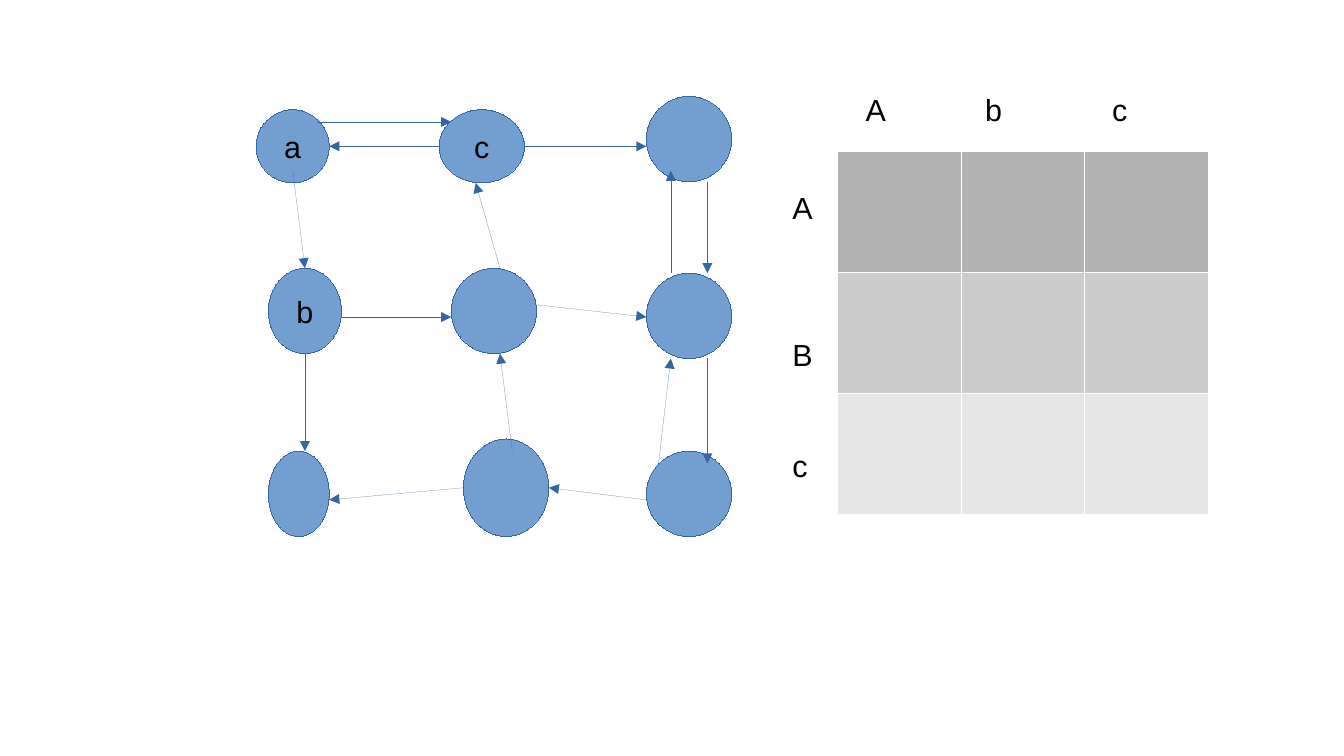
from dataclasses import dataclass

from lxml import etree
from pptx import Presentation
from pptx.dml.color import RGBColor
from pptx.enum.shapes import MSO_CONNECTOR, MSO_SHAPE
from pptx.enum.text import MSO_ANCHOR, MSO_AUTO_SIZE, PP_ALIGN
from pptx.oxml.ns import qn
from pptx.util import Inches, Pt

OVAL = MSO_SHAPE.OVAL
STRAIGHT = MSO_CONNECTOR.STRAIGHT
MIDDLE = MSO_ANCHOR.MIDDLE
CENTER = PP_ALIGN.CENTER
FIT_SHAPE = MSO_AUTO_SIZE.SHAPE_TO_FIT_TEXT


@dataclass(frozen=True)
class Theme:
    node: str = "729FCF"
    edge: str = "3465A4"
    ink: str = "000000"
    border: str = "FFFFFF"
    rows: tuple = ("B3B3B3", "CCCCCC", "E6E6E6")
    font: str = "Arial"
    size: int = 18
    border_width: float = 0.06


THEME = Theme()

# Nodes: label, left, top, width, height, from the graph's corner
NODES = [
    ("a", 0.1, 0.4, 0.6, 0.6), ("c", 1.6, 0.4, 0.7, 0.6), ("", 3.3, 0.29, 0.7, 0.7),
    ("b", 0.2, 1.7, 0.6, 0.7), ("", 1.7, 1.7, 0.7, 0.7), ("", 3.3, 1.74, 0.7, 0.7),
    ("", 0.2, 3.2, 0.5, 0.7), ("", 1.8, 3.1, 0.7, 0.8), ("", 3.3, 3.2, 0.7, 0.7),
]

# Arrows: start x, start y, end x, end y, from the graph's corner
ARROWS = [
    # Top row
    (0.6, 0.5, 1.7, 0.5), (1.6, 0.7, 0.7, 0.7), (2.3, 0.7, 3.3, 0.7),
    # Middle row
    (0.8, 2.1, 1.7, 2.1), (2.4, 2.0, 3.3, 2.1),
    # Bottom row
    (3.3, 3.6, 2.5, 3.5), (1.8, 3.5, 0.7, 3.6),
    # Left column
    (0.4, 0.9, 0.5, 1.7), (0.5, 2.4, 0.5, 3.2),
    # Middle column
    (2.2, 3.2, 2.1, 2.4), (2.1, 1.7, 1.9, 1.0),
    # Right column
    (3.5, 1.74, 3.5, 0.9), (3.8, 0.99, 3.8, 1.74),
    (3.4, 3.3, 3.5, 2.44), (3.8, 2.44, 3.8, 3.3),
]

# Row labels with the space before each, in points
ROW_LABELS = [("A", 0), ("B", 65.5), ("c", 44)]
COLUMN_LABELS = ["A", "b", "c"]
COLUMN_TABS = [0.98, 2.02]


def rgb(value):
    return RGBColor.from_string(value)


def drop_style(item):
    """Remove the preset style, and with it the shadow and line width."""
    style = item._element.find(qn("p:style"))
    item._element.remove(style)


def write(para, text, **formats):
    for name, value in formats.items():
        setattr(para, name, value)
    span = para.add_run()
    span.text = text
    for name, value in {"name": THEME.font, "size": Pt(THEME.size)}.items():
        setattr(span.font, name, value)
    span.font.color.rgb = rgb(THEME.ink)


def add_label_box(page, left, top, width, height):
    box = page.shapes.add_textbox(*map(Inches, (left, top, width, height)))
    frame = box.text_frame
    for name, value in {"word_wrap": True, "auto_size": FIT_SHAPE}.items():
        setattr(frame, name, value)
    return frame


def add_graph(page, left, top):
    # Nodes
    for label, x, y, width, height in NODES:
        node = page.shapes.add_shape(
            OVAL, Inches(left + x), Inches(top + y), Inches(width), Inches(height))
        drop_style(node)
        node.fill.solid()
        node.fill.fore_color.rgb = rgb(THEME.node)
        node.line.color.rgb = rgb(THEME.edge)
        if label:
            frame = node.text_frame
            for name, value in {"word_wrap": False, "vertical_anchor": MIDDLE}.items():
                setattr(frame, name, value)
            write(frame.paragraphs[0], label, alignment=CENTER)

    # Arrows
    for x1, y1, x2, y2 in ARROWS:
        arrow = page.shapes.add_connector(
            STRAIGHT, Inches(left + x1), Inches(top + y1), Inches(left + x2), Inches(top + y2))
        drop_style(arrow)
        arrow.line.color.rgb = rgb(THEME.edge)
        etree.SubElement(arrow.line._get_or_add_ln(), qn("a:tailEnd"), type="triangle")


def add_borders(cell):
    props = cell._tc.get_or_add_tcPr()
    for index, side in enumerate(("lnL", "lnR", "lnT", "lnB")):
        line = etree.Element(qn(f"a:{side}"), w=str(Pt(THEME.border_width)))
        fill = etree.SubElement(line, qn("a:solidFill"))
        etree.SubElement(fill, qn("a:srgbClr"), val=THEME.border)
        props.insert(index, line)


def add_matrix(page, left, top, width, height):
    # Shaded grid
    count = len(THEME.rows)
    grid = page.shapes.add_table(
        count, count, *map(Inches, (left, top, width, height))).table
    for row, color in zip(grid.rows, THEME.rows):
        for cell in row.cells:
            cell.fill.solid()
            cell.fill.fore_color.rgb = rgb(color)
            add_borders(cell)

    # Row labels
    frame = add_label_box(page, left - 0.46, top + 0.26, 0.4, 2.34)
    for index, (label, gap) in enumerate(ROW_LABELS):
        para = frame.add_paragraph() if index else frame.paragraphs[0]
        write(para, label, space_before=Pt(gap))

    # Column labels on tab stops
    frame = add_label_box(page, left + 0.14, top - 0.54, 2.8, 0.38)
    para = frame.paragraphs[0]
    write(para, "\t".join(COLUMN_LABELS))
    stops = etree.SubElement(para._p.get_or_add_pPr(), qn("a:tabLst"))
    for stop in COLUMN_TABS:
        etree.SubElement(stops, qn("a:tab"), pos=str(Inches(stop)), algn="l")


def main():
    deck = Presentation()
    deck.slide_width, deck.slide_height = Inches(11.02), Inches(6.2)
    page = deck.slides.add_slide(deck.slide_layouts[6])
    add_graph(page, 2, 0.5)
    add_matrix(page, 6.86, 1.24, 3.05, 2.98)
    deck.save("out.pptx")


if __name__ == "__main__":
    main()
